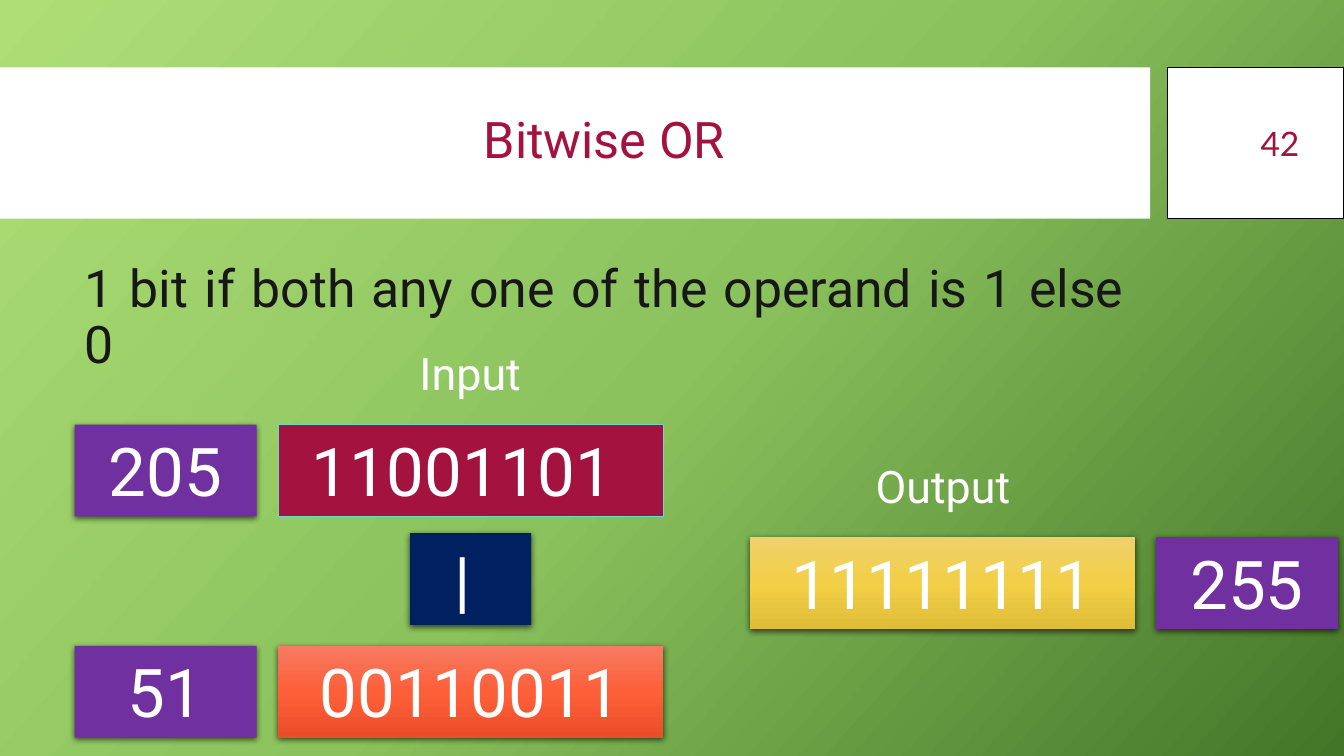
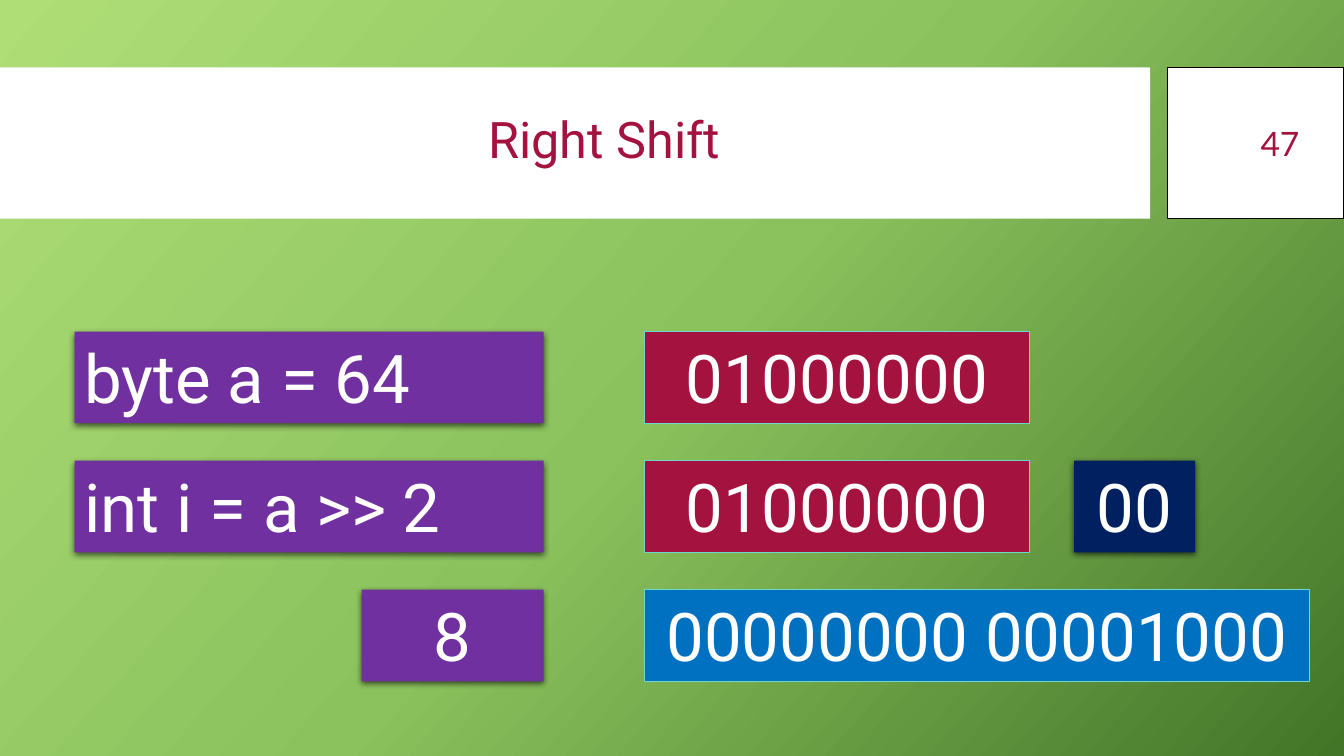
from dataclasses import dataclass
from typing import Any

from lxml import etree
from pptx import Presentation
from pptx.dml.color import RGBColor
from pptx.enum.shapes import MSO_SHAPE
from pptx.enum.text import MSO_ANCHOR, MSO_AUTO_SIZE, PP_ALIGN
from pptx.oxml.ns import qn
from pptx.util import Pt

RECT = MSO_SHAPE.RECTANGLE
TOP, MIDDLE = MSO_ANCHOR.TOP, MSO_ANCHOR.MIDDLE
GROW, FIXED = MSO_AUTO_SIZE.SHAPE_TO_FIT_TEXT, MSO_AUTO_SIZE.NONE
LEFT, CENTER = PP_ALIGN.LEFT, PP_ALIGN.CENTER
RIGHT, JUSTIFY = PP_ALIGN.RIGHT, PP_ALIGN.JUSTIFY

WHITE, BLACK, INK = "FFFFFF", "000000", "181717"
RED, PURPLE, NAVY, BLUE, AQUA = "A4123F", "7030A0", "002060", "0070C0", "6AD8CB"
GREEN = ("AFDE77", "8BC25D", "437528")
GOLD = ("EED16B", "F2CF47", "E0BD37")
CORAL = ("F77A63", "FD5F39", "EB4E29")

MARGIN = 53.3
BAND_TOP, BAND_H = 48.2, 108
TEXT_W = 756.7
BOX_H = 65.5
VALUE_W, BITS_W, MARK_W, CODE_W, WIDE_W = 130, 275, 86.4, 335, 475


@dataclass
class Style:
    size: float
    color: str = WHITE
    align: Any = CENTER
    anchor: Any = TOP
    fit: Any = GROW
    font: str = "Roboto"
    leading: float = 1.0


@dataclass
class Box:
    """A filled box; it has an outline or, failing that, a shadow."""
    text: str
    left: float
    top: float
    width: float
    fill: str | tuple[str, ...]
    line: str | None = None
    align: Any = CENTER


@dataclass
class Label:
    text: str
    left: float
    top: float


TITLE = Style(36, RED, anchor=MIDDLE, fit=FIXED, leading=0.9)
BODY = Style(37, INK, JUSTIFY, fit=FIXED, leading=0.9)
NUMBER = Style(24, RED, RIGHT, MIDDLE, FIXED, "Lato")
LABEL = Style(32)


def rgb(code: str) -> RGBColor:
    return RGBColor.from_string(code)


def paint(fill, root, color: str | tuple[str, ...], angle: int = 90) -> None:
    """Fill with one colour, or with evenly spaced stops at a clockwise angle."""
    if isinstance(color, str):
        fill.solid()
        fill.fore_color.rgb = rgb(color)
        return
    fill.gradient()
    fill.gradient_angle = 360 - angle
    stops = next(root.iter(qn("a:gsLst")))
    stops.clear()
    for i, code in enumerate(color):
        pos = round(100000 * i / (len(color) - 1))
        stop = etree.SubElement(stops, qn("a:gs"), pos=str(pos))
        etree.SubElement(stop, qn("a:srgbClr"), val=code)


def shade(shape) -> None:
    """Add a soft shadow below the shape."""
    effects = shape.element.spPr.find(qn("a:effectLst"))
    outer = etree.SubElement(
        effects, qn("a:outerShdw"), blurRad=str(Pt(4.5)), dist=str(Pt(1.5)),
        dir=str(90 * 60000), algn="ctr", rotWithShape="0")
    color = etree.SubElement(outer, qn("a:srgbClr"), val=BLACK)
    etree.SubElement(color, qn("a:alpha"), val="63000")


def add_rect(slide, left: float, top: float, width: float, height: float,
             fill: str | tuple[str, ...], line: str | None = None,
             weight: float = 1):
    shape = slide.shapes.add_shape(RECT, Pt(left), Pt(top), Pt(width), Pt(height))
    shape.shadow.inherit = False
    paint(shape.fill, shape.element, fill)
    if line:
        shape.line.color.rgb = rgb(line)
        shape.line.width = Pt(weight)
    else:
        shape.line.fill.background()
    return shape


def write(shape, text: str, style: Style) -> None:
    frame = shape.text_frame
    frame.word_wrap = True
    frame.auto_size = style.fit
    frame.vertical_anchor = style.anchor
    para = frame.paragraphs[0]
    para.text = text
    para.alignment = style.align
    para.line_spacing = style.leading
    para.font.size = Pt(style.size)
    para.font.name = style.font
    para.font.color.rgb = rgb(style.color)


def add_text(slide, text: str, left: float, top: float, width: float,
             height: float, style: Style) -> None:
    box = slide.shapes.add_textbox(Pt(left), Pt(top), Pt(width), Pt(height))
    write(box, text, style)


def add_box(slide, box: Box) -> None:
    shape = add_rect(slide, box.left, box.top, box.width, BOX_H,
                     box.fill, box.line, 0.75)
    if not box.line:
        shade(shape)
    write(shape, box.text, Style(48, align=box.align))


def add_slide(deck, title: str, number: str, boxes: list[Box]):
    slide = deck.slides.add_slide(deck.slide_layouts[6])
    add_rect(slide, 0, BAND_TOP, 821.5, BAND_H, WHITE)
    add_rect(slide, 833.8, BAND_TOP, 126.2, BAND_H, WHITE, BLACK)
    add_text(slide, title, MARGIN, 59, TEXT_W, 85, TITLE)
    add_text(slide, number, 844.6, 59, 90.7, 85.7, NUMBER)
    for box in boxes:
        add_box(slide, box)
    return slide


def add_or(deck) -> None:
    bits, out, sum_left = 198.7, 535.7, 825.8
    first, last, result = 303.3, 461.3, 383.7
    slide = add_slide(deck, "Bitwise OR", "42", [
        Box("205", MARGIN, first, VALUE_W, PURPLE),
        Box("11001101 ", bits, first, BITS_W, RED, AQUA),
        Box("| ", bits + (BITS_W - MARK_W) / 2, 380.8, MARK_W, NAVY),
        Box("51", MARGIN, last, VALUE_W, PURPLE),
        Box("00110011", bits, last, BITS_W, CORAL),
        Box("11111111", out, result, BITS_W, GOLD),
        Box("255", sum_left, result, VALUE_W, PURPLE),
    ])
    add_text(slide, "1 bit if both any one of the operand is 1 else 0",
             MARGIN, 184.3, TEXT_W, 72, BODY)
    for label in (Label("Input", 277.9, 243.4), Label("Output", 615.6, 324)):
        add_text(slide, label.text, label.left, label.top, 116, 46, LABEL)


def add_shift(deck) -> None:
    bits = 460.3
    first, second, third = (236.8 + 92.2 * i for i in range(3))
    add_slide(deck, "Right Shift", "47", [
        Box("byte a = 64", MARGIN, first, CODE_W, PURPLE, align=LEFT),
        Box("01000000", bits, first, BITS_W, RED, AQUA),
        Box("int i = a >> 2", MARGIN, second, CODE_W, PURPLE, align=LEFT),
        Box("01000000", bits, second, BITS_W, RED, AQUA),
        Box("00", 767.3, second, MARK_W, NAVY),
        Box("8", MARGIN + CODE_W - VALUE_W, third, VALUE_W, PURPLE),
        Box("00000000 00001000", bits, third, WIDE_W, BLUE, AQUA),
    ])


def main() -> None:
    deck = Presentation()
    deck.slide_width, deck.slide_height = Pt(960), Pt(540)
    master = deck.slide_master
    paint(master.background.fill, master.element, GREEN, 42)
    add_or(deck)
    add_shift(deck)
    deck.save("out.pptx")


if __name__ == "__main__":
    main()
